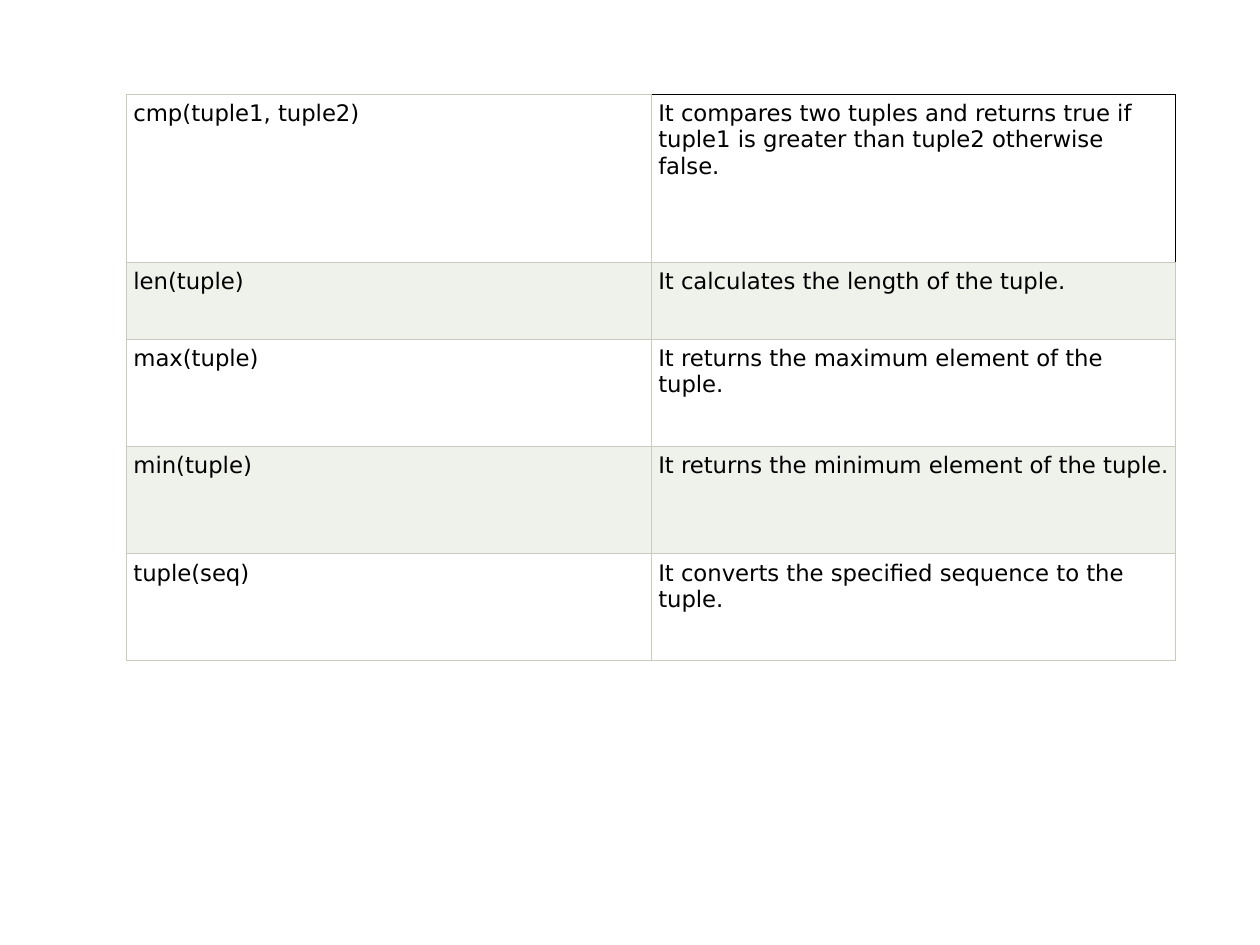
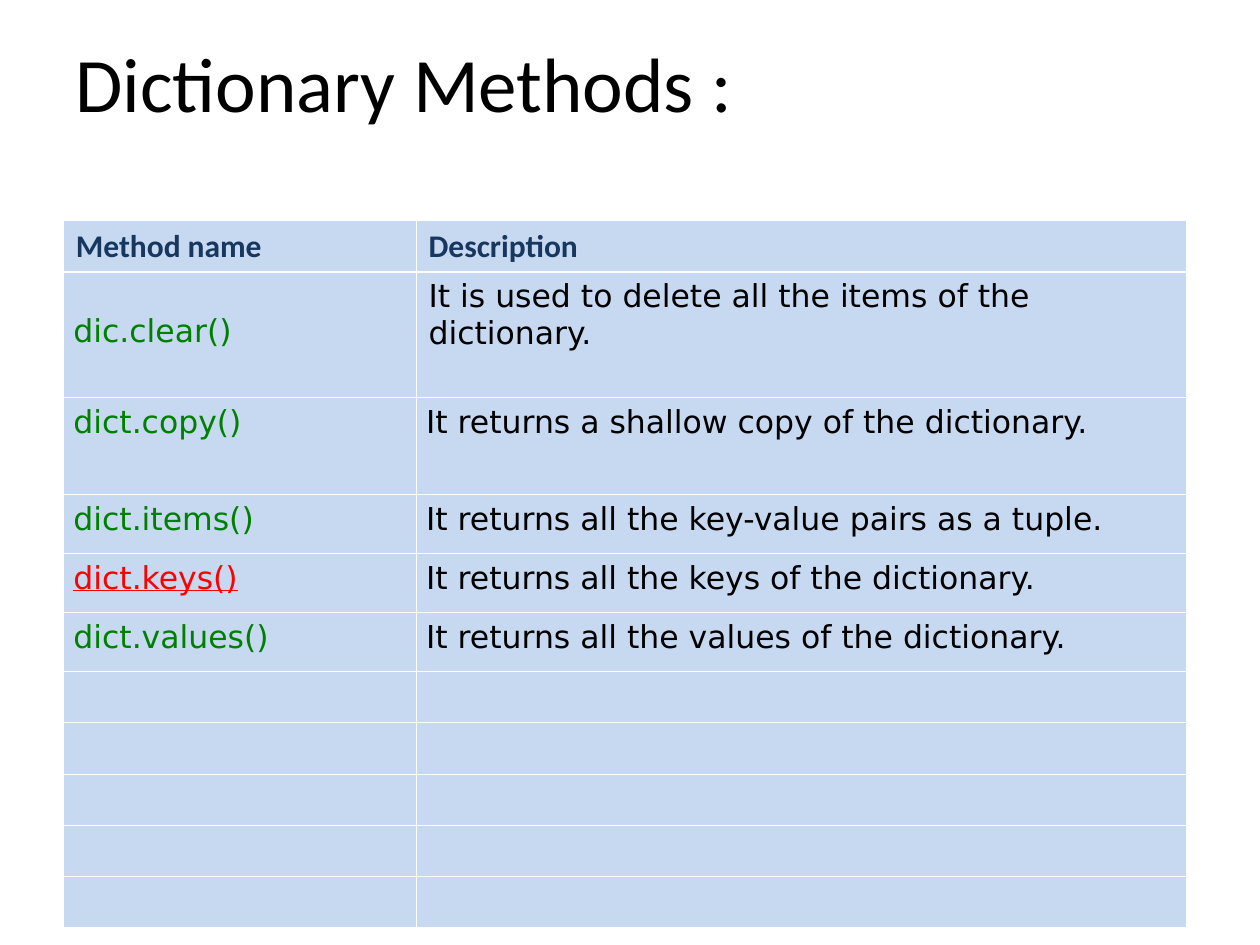
from lxml import etree
from pptx import Presentation
from pptx.dml.color import RGBColor
from pptx.enum.text import MSO_ANCHOR
from pptx.oxml.ns import qn
from pptx.util import Cm, Pt

MIDDLE = MSO_ANCHOR.MIDDLE
BLACK, WHITE = "000000", "FFFFFF"
SAGE_LINE, SAGE_BAND = "C7CCBE", "EFF1EB"
SKY, NAVY, GREEN, RED = "C6D9F1", "17375E", "008000", "FF0000"
BODY_FONT, HEADING_FONT = "DejaVu Sans", "Calibri"
SIDES = ("L", "R", "T", "B")


def set_font(font, name, size, color):
    font.name, font.size = name, Pt(size)
    font.color.rgb = RGBColor.from_string(color)


def add_grid(page, left, top, widths, heights, texts, line):
    """Add a plain table whose cells all have the border line (colour, points)."""
    frame = page.shapes.add_table(len(heights), len(widths), Cm(left), Cm(top),
                                  Cm(sum(widths)), Cm(sum(heights)))
    table = frame.table
    table.first_row = table.horz_banding = False
    for column, width in zip(table.columns, widths):
        column.width = Cm(width)
    for row, height in zip(table.rows, heights):
        row.height = Cm(height)
    color, points = line
    for cell in table.iter_cells():
        properties = cell._tc.get_or_add_tcPr()
        for side in SIDES:
            border = etree.SubElement(properties, qn(f"a:ln{side}"), w=str(Pt(points)))
            solid = etree.SubElement(border, qn("a:solidFill"))
            etree.SubElement(solid, qn("a:srgbClr"), val=color)
        cell.margin_top = cell.margin_bottom = Cm(0.13)
    for row_index, row_texts in enumerate(texts):
        for column_index, text in enumerate(row_texts):
            table.cell(row_index, column_index).text = text
    return table


deck = Presentation()
deck.slide_width, deck.slide_height = Cm(25.4), Cm(19.05)
blank = deck.slide_layouts[6]

# Slide 1: tuple functions
page = deck.slides.add_slide(blank)
tuple_functions = [
    ("cmp(tuple1, tuple2)", "It compares two tuples and returns true if tuple1 is "
                            "greater than tuple2 otherwise false."),
    ("len(tuple)", "It calculates the length of the tuple."),
    ("max(tuple)", "It returns the maximum element of the tuple."),
    ("min(tuple)", "It returns the minimum element of the tuple."),
    ("tuple(seq)", "It converts the specified sequence to the tuple."),
]
table = add_grid(page, 2.54, 1.9, [10.58] * 2, [3.39, 1.55] + [2.16] * 3,
                 tuple_functions, (SAGE_LINE, 0.34))
for row_index, row in enumerate(table.rows):
    for cell in row.cells:
        cell.margin_left = cell.margin_right = Cm(0.15)
        cell.fill.solid()
        cell.fill.fore_color.rgb = RGBColor.from_string(SAGE_BAND if row_index % 2 else WHITE)
        set_font(cell.text_frame.paragraphs[0].font, BODY_FONT, 13, BLACK)

corner = table.cell(0, 1)
corner.fill.background()
for side in ("T", "R"):
    border = corner._tc.tcPr.find(qn(f"a:ln{side}"))
    border.set("w", str(Pt(0.45)))
    border.find(".//" + qn("a:srgbClr")).set("val", BLACK)

# Slide 2: dictionary methods
page = deck.slides.add_slide(blank)
title = page.shapes.add_textbox(Cm(1.27), Cm(0.76), Cm(22.86), Cm(1.78)).text_frame
title.word_wrap = True
title.vertical_anchor = MIDDLE
title.text = "Dictionary Methods :"
set_font(title.paragraphs[0].font, HEADING_FONT, 44, BLACK)

dictionary_methods = [
    ("Method name", "Description"),
    ("dic.clear()", "It is used to delete all the items of the dictionary."),
    ("dict.copy()", "It returns a shallow copy of the dictionary."),
    ("dict.items()", "It returns all the key-value pairs as a tuple."),
    ("dict.keys()", "It returns all the keys of the dictionary."),
    ("dict.values()", "It returns all the values of the dictionary."),
]
table = add_grid(page, 1.28, 4.45, [7.11, 15.52],
                 [1.03, 2.54, 1.95] + [1.19] * 3 + [1.03] * 5,
                 dictionary_methods, (WHITE, 0.45))
for row_index, row in enumerate(table.rows):
    for cell, color in zip(row.cells, (GREEN, BLACK)):
        cell.margin_left = cell.margin_right = Cm(0.2)
        cell.fill.solid()
        cell.fill.fore_color.rgb = RGBColor.from_string(SKY)
        font = cell.text_frame.paragraphs[0].font
        if row_index == 0:
            set_font(font, HEADING_FONT, 18, NAVY)
            font.bold = True
        else:
            set_font(font, BODY_FONT, 18, color)

for column_index in range(2):
    for row_index, side in enumerate(("B", "T")):
        cell = table.cell(row_index, column_index)
        cell._tc.tcPr.find(qn(f"a:ln{side}")).set("w", str(Pt(1.47)))
for cell in (table.cell(0, 0), table.cell(0, 1), table.cell(1, 1)):
    cell.margin_left = cell.margin_right = Cm(0.25)
table.cell(1, 0).margin_top = Cm(0.84)

keys_font = table.cell(4, 0).text_frame.paragraphs[0].font
keys_font.color.rgb = RGBColor.from_string(RED)
keys_font.underline = True

deck.save("out.pptx")
